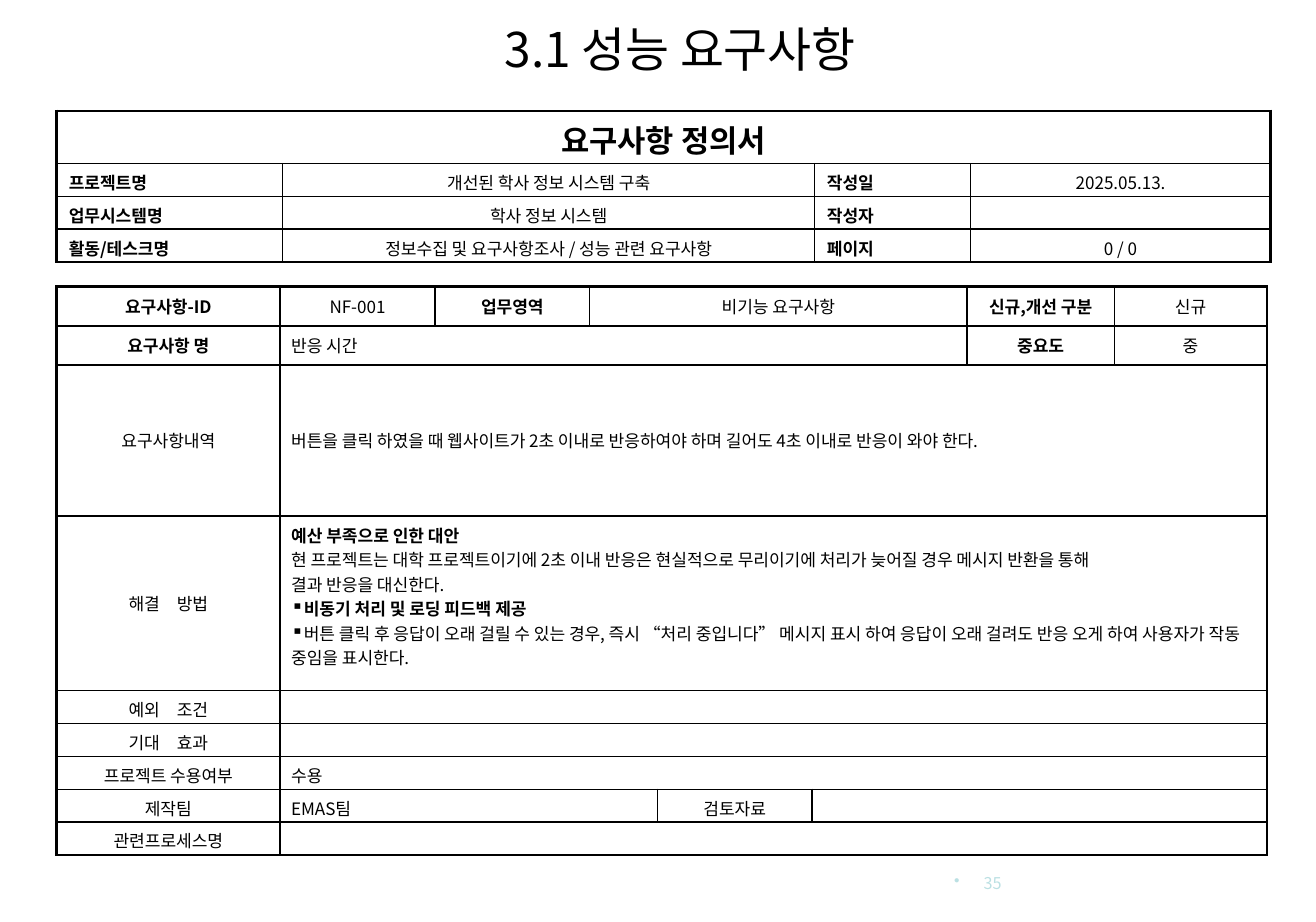
from collections import namedtuple
from dataclasses import dataclass

from lxml import etree
from pptx import Presentation
from pptx.dml.color import RGBColor
from pptx.enum.text import MSO_ANCHOR, MSO_AUTO_SIZE, PP_ALIGN
from pptx.oxml.ns import qn
from pptx.util import Pt

CENTER, LEFT, RIGHT, JUSTIFY = PP_ALIGN.CENTER, PP_ALIGN.LEFT, PP_ALIGN.RIGHT, PP_ALIGN.JUSTIFY
TOP, MIDDLE = MSO_ANCHOR.TOP, MSO_ANCHOR.MIDDLE
FIXED_SIZE = MSO_AUTO_SIZE.NONE
EMU_PER_PX = 9144
NO_GRID_STYLE = "{2D5ABB26-0587-4C30-8999-92F81FD0307C}"

Line = namedtuple("Line", "text bold bullet", defaults=(False, None))
Cell = namedtuple("Cell", "lines span align anchor size bottom")


@dataclass(frozen=True)
class Theme:
    """Colours, font and type sizes of the slide."""
    font: str = "Noto Sans CJK KR"
    ink: str = "000000"
    pale: str = "BBE0E3"
    title: float = 28
    heading: float = 18
    body: float = 10
    page: float = 9.5
    thick: float = 1.5
    thin: float = 1


THEME = Theme()


def px(value):
    """Turn px into EMU."""
    return int(value * EMU_PER_PX)


def cell(*lines, span=1, align=CENTER, anchor=MIDDLE, size=THEME.body, bottom=5):
    """Describe one table cell and the columns it covers."""
    return Cell(lines, span, align, anchor, size, bottom)


def label(text, **options):
    """Describe a cell with one bold line."""
    return cell(Line(text, True), **options)


def value(text, **options):
    """Describe a cell with one regular line."""
    return cell(Line(text), **options)


class RequirementSlide:
    """Builds the parts of a requirement slide in one style."""

    def __init__(self, presentation, theme):
        """Start a slide with a title placeholder."""
        self.theme = theme
        self.slide = presentation.slides.add_slide(presentation.slide_layouts[5])

    def add_line(self, paragraph, line, size, color, align):
        """Add one line of text as a formatted run."""
        paragraph.alignment = align
        if line.bullet is not None:
            properties = paragraph._p.get_or_add_pPr()
            properties.set("marL", str(px(line.bullet)))
            properties.set("indent", str(-px(line.bullet)))
            mark = "•" if line.bullet else "▪"
            etree.SubElement(properties, qn("a:buChar"), char=mark)
        run = paragraph.add_run()
        run.text = line.text
        run.font.size = Pt(size)
        run.font.bold = line.bold
        run.font.color.rgb = RGBColor.from_string(color)
        run.font.name = self.theme.font
        etree.SubElement(run._r.get_or_add_rPr(), qn("a:ea"), typeface=self.theme.font)

    def title(self, text, left, top, width, height):
        """Place and fill the title placeholder."""
        shape = self.slide.shapes.title
        shape.left, shape.top, shape.width, shape.height = map(px, (left, top, width, height))
        frame = shape.text_frame
        frame.auto_size = FIXED_SIZE
        frame.vertical_anchor = TOP
        frame.margin_top = px(8)
        self.add_line(frame.paragraphs[0], Line(text), self.theme.title, self.theme.ink, CENTER)

    def page_number(self, text, left, top, width, height):
        """Add the pale page number."""
        shape = self.slide.shapes.add_textbox(*map(px, (left, top, width, height)))
        frame = shape.text_frame
        frame.word_wrap = True
        frame.vertical_anchor = MIDDLE
        line = Line(text, bullet=24)
        self.add_line(frame.paragraphs[0], line, self.theme.page, self.theme.pale, RIGHT)

    def border(self, table_cell, side, thick):
        """Draw one side of a cell."""
        width = Pt(self.theme.thick if thick else self.theme.thin)
        properties = table_cell._tc.get_or_add_tcPr()
        outline = etree.SubElement(properties, qn(f"a:ln{side}"), w=str(width))
        fill = etree.SubElement(outline, qn("a:solidFill"))
        etree.SubElement(fill, qn("a:srgbClr"), val=self.theme.ink)

    def fill_cell(self, table_cell, content, inset):
        """Set the margins and the text of a cell."""
        table_cell.margin_left = table_cell.margin_right = px(inset)
        table_cell.margin_top, table_cell.margin_bottom = px(5), px(content.bottom)
        table_cell.vertical_anchor = content.anchor
        frame = table_cell.text_frame
        for index, line in enumerate(content.lines):
            paragraph = frame.add_paragraph() if index else frame.paragraphs[0]
            self.add_line(paragraph, line, content.size, self.theme.ink, content.align)
        if not content.lines:
            size = str(int(content.size * 100))
            etree.SubElement(frame.paragraphs[0]._p, qn("a:endParaRPr"), sz=size)

    def table(self, left, top, columns, heights, rows, thick_lines, inset):
        """Add a ruled table with merged cells."""
        box = map(px, (left, top, sum(columns), sum(heights)))
        table = self.slide.shapes.add_table(len(heights), len(columns), *box).table
        table.first_row = table.horz_banding = False
        table._tbl.tblPr.find(qn("a:tableStyleId")).text = NO_GRID_STYLE
        for column, width in zip(table.columns, columns):
            column.width = px(width)
        for row_index, (row, height) in enumerate(zip(rows, heights)):
            table.rows[row_index].height = px(height)
            first = 0
            for content in row:
                last = first + content.span - 1
                origin = table.cell(row_index, first)
                if content.span > 1:
                    origin.merge(table.cell(row_index, last))
                for column_index in range(first, last + 1):
                    part = table.cell(row_index, column_index)
                    if column_index == first:
                        self.border(part, "L", first == 0)
                    if column_index in (first, last):
                        self.border(part, "R", last == len(columns) - 1)
                    self.border(part, "T", row_index in thick_lines)
                    self.border(part, "B", row_index + 1 in thick_lines)
                    part.fill.background()
                self.fill_cell(origin, content, inset)
                first = last + 1


def summary_row(name, content, side_name, side_content):
    """Describe a row of the document summary."""
    return [
        label(name, align=JUSTIFY, anchor=TOP),
        value(content, anchor=TOP),
        label(side_name, align=JUSTIFY, anchor=TOP),
        value(side_content, anchor=TOP) if side_content else cell(),
    ]


SUMMARY = [
    [label("요구사항 정의서", span=4, size=THEME.heading)],
    summary_row("프로젝트명", "개선된 학사 정보 시스템 구축", "작성일", "2025.05.13."),
    summary_row("업무시스템명", "학사 정보 시스템", "작성자", ""),
    summary_row("활동/테스크명", "정보수집 및 요구사항조사 / 성능 관련 요구사항", "페이지", "0 / 0"),
]

SOLUTION = [
    Line("예산 부족으로 인한 대안", True),
    Line("현 프로젝트는 대학 프로젝트이기에 2초 이내 반응은 현실적으로 무리이기에 처리가 늦어질 경우 메시지 반환을 통해"),
    Line("결과 반응을 대신한다."),
    Line("비동기 처리 및 로딩 피드백 제공", True, 0),
    Line("버튼 클릭 후 응답이 오래 걸릴 수 있는 경우, 즉시 “처리 중입니다” 메시지 표시 하여 "
         "응답이 오래 걸려도 반응 오게 하여 사용자가 작동 중임을 표시한다.", False, 0),
]

REQUIREMENT = [
    [label("요구사항-ID"), value("NF-001"), label("업무영역"),
     value("비기능 요구사항", span=3), label("신규,개선 구분"), value("신규")],
    [label("요구사항 명"), value("반응 시간", span=5, align=LEFT), label("중요도"), value("중")],
    [value("요구사항내역"),
     value("버튼을 클릭 하였을 때 웹사이트가 2초 이내로 반응하여야 하며 길어도 4초 이내로 반응이 와야 한다.",
           span=7, align=LEFT)],
    [value("해결　방법"), cell(*SOLUTION, span=7, align=LEFT, bottom=24)],
    [value("예외　조건"), cell(span=7)],
    [value("기대　효과"), cell(span=7)],
    [value("프로젝트 수용여부"), value("수용", span=7, align=LEFT)],
    [value("제작팀"), value("EMAS팀", span=3, align=LEFT), value("검토자료"), cell(span=3)],
    [value("관련프로세스명"), cell(span=7)],
]


def main():
    """Build and save the presentation."""
    presentation = Presentation()
    presentation.slide_width, presentation.slide_height = px(1071), px(750)
    page = RequirementSlide(presentation, THEME)
    page.title("3.1 성능 요구사항", 362, 8, 383, 144)
    page.page_number("35", 764, 697, 61, 42)
    page.table(46, 233, [182, 126, 126, 55, 126, 126, 120, 124],
               [32, 32, 123, 142] + [25] * 5, REQUIREMENT, {0, 1, 2, 9}, 9)
    page.table(46, 90, [184, 433, 127, 244], [43] + [26] * 3, SUMMARY, {0, 4}, 10)
    presentation.save("out.pptx")


if __name__ == "__main__":
    main()
